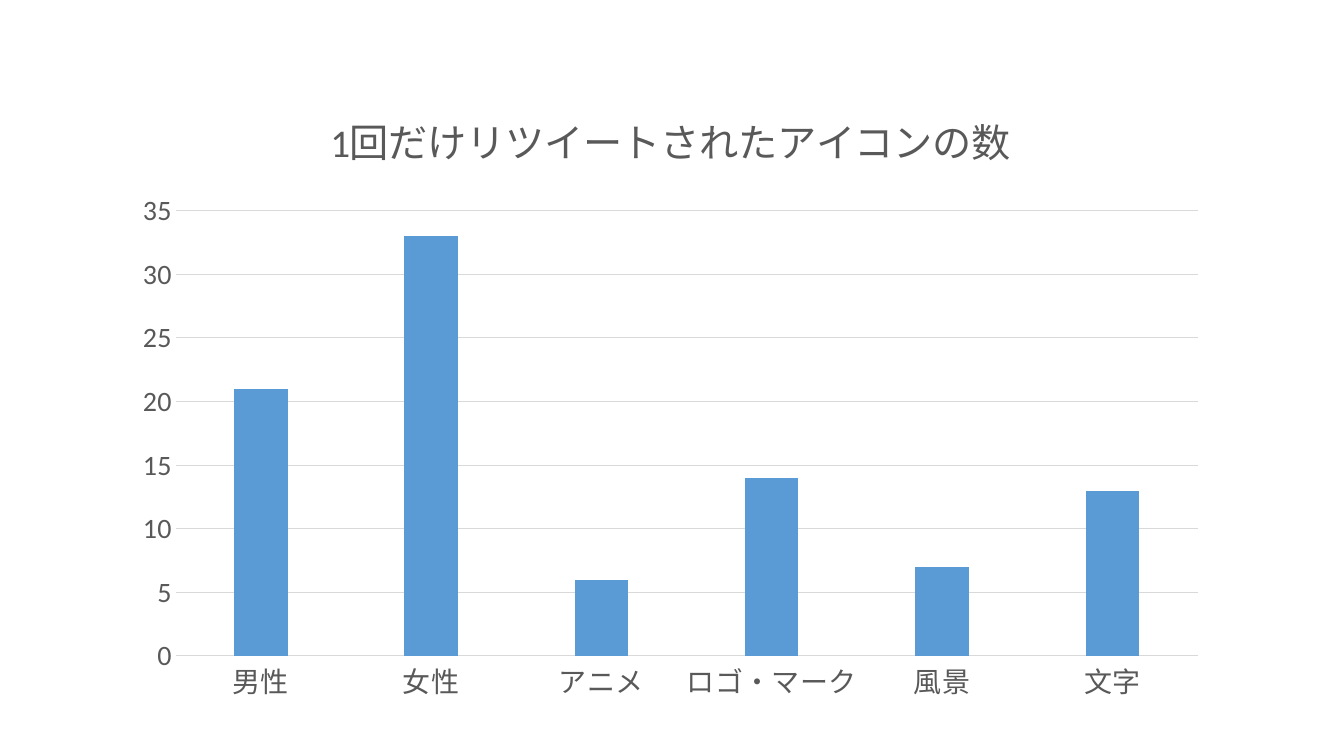
import dataclasses

import pptx
import pptx.chart.data
import pptx.dml.color
import pptx.enum.chart
import pptx.util


@dataclasses.dataclass(frozen=True)
class Theme:
    """Hold the colours, font and type sizes of the slide."""
    font: str = "Calibri"
    text: str = "595959"
    rule: str = "D9D9D9"
    bar: str = "5B9BD5"
    title_size: float = 28
    label_size: float = 20
    rule_width: float = 0.75


THEME = Theme()
ICON_COUNTS = {
    "男性": 21,
    "女性": 33,
    "アニメ": 6,
    "ロゴ・マーク": 14,
    "風景": 7,
    "文字": 13,
}


def set_values(target, values):
    """Set each named attribute of the target."""
    for name, value in values.items():
        setattr(target, name, value)


def style_font(font, size):
    """Apply the theme's face and text colour at the given size."""
    set_values(font, {"name": THEME.font, "size": pptx.util.Pt(size), "bold": False})
    font.color.rgb = pptx.dml.color.RGBColor.from_string(THEME.text)


def style_rule(line):
    """Draw a line in the thin light rule style."""
    line.color.rgb = pptx.dml.color.RGBColor.from_string(THEME.rule)
    line.width = pptx.util.Pt(THEME.rule_width)


def style_axes(chart):
    """Format both axes and the horizontal gridlines."""
    tick_none = pptx.enum.chart.XL_TICK_MARK.NONE
    for axis in (chart.category_axis, chart.value_axis):
        set_values(axis, {"major_tick_mark": tick_none, "minor_tick_mark": tick_none})
        style_font(axis.tick_labels.font, THEME.label_size)
    style_rule(chart.category_axis.format.line)
    value_axis = chart.value_axis
    set_values(value_axis, {
        "minimum_scale": 0,
        "maximum_scale": 35,
        "major_unit": 5,
        "has_major_gridlines": True,
    })
    value_axis.format.line.fill.background()
    style_rule(value_axis.major_gridlines.format.line)


def add_icon_chart(page, left, top, width, height):
    """Place the titled column chart in the given box, in points."""
    data = pptx.chart.data.CategoryChartData()
    data.categories = list(ICON_COUNTS)
    data.add_series("Series 1", list(ICON_COUNTS.values()))
    chart = page.shapes.add_chart(
        pptx.enum.chart.XL_CHART_TYPE.COLUMN_CLUSTERED,
        *map(pptx.util.Pt, (left, top, width, height)),
        data,
    ).chart
    set_values(chart, {"has_legend": False, "has_title": True})
    style_font(chart.font, THEME.label_size)

    chart.chart_title.include_in_layout = False
    para = chart.chart_title.text_frame.paragraphs[0]
    span = para.add_run()
    span.text = "1回だけリツイートされたアイコンの数"
    style_font(span.font, THEME.title_size)

    plot = chart.plots[0]
    set_values(plot, {"gap_width": 219, "overlap": -27, "vary_by_categories": False})
    fill = plot.series[0].format.fill
    fill.solid()
    fill.fore_color.rgb = pptx.dml.color.RGBColor.from_string(THEME.bar)
    style_axes(chart)


def main():
    """Build the slide and save the deck."""
    deck = pptx.Presentation()
    set_values(deck, {"slide_width": pptx.util.Pt(960), "slide_height": pptx.util.Pt(540)})
    page = deck.slides.add_slide(deck.slide_layouts[6])
    add_icon_chart(page, 86.4, 59, 784.8, 450.7)
    deck.save("out.pptx")


if __name__ == "__main__":
    main()
